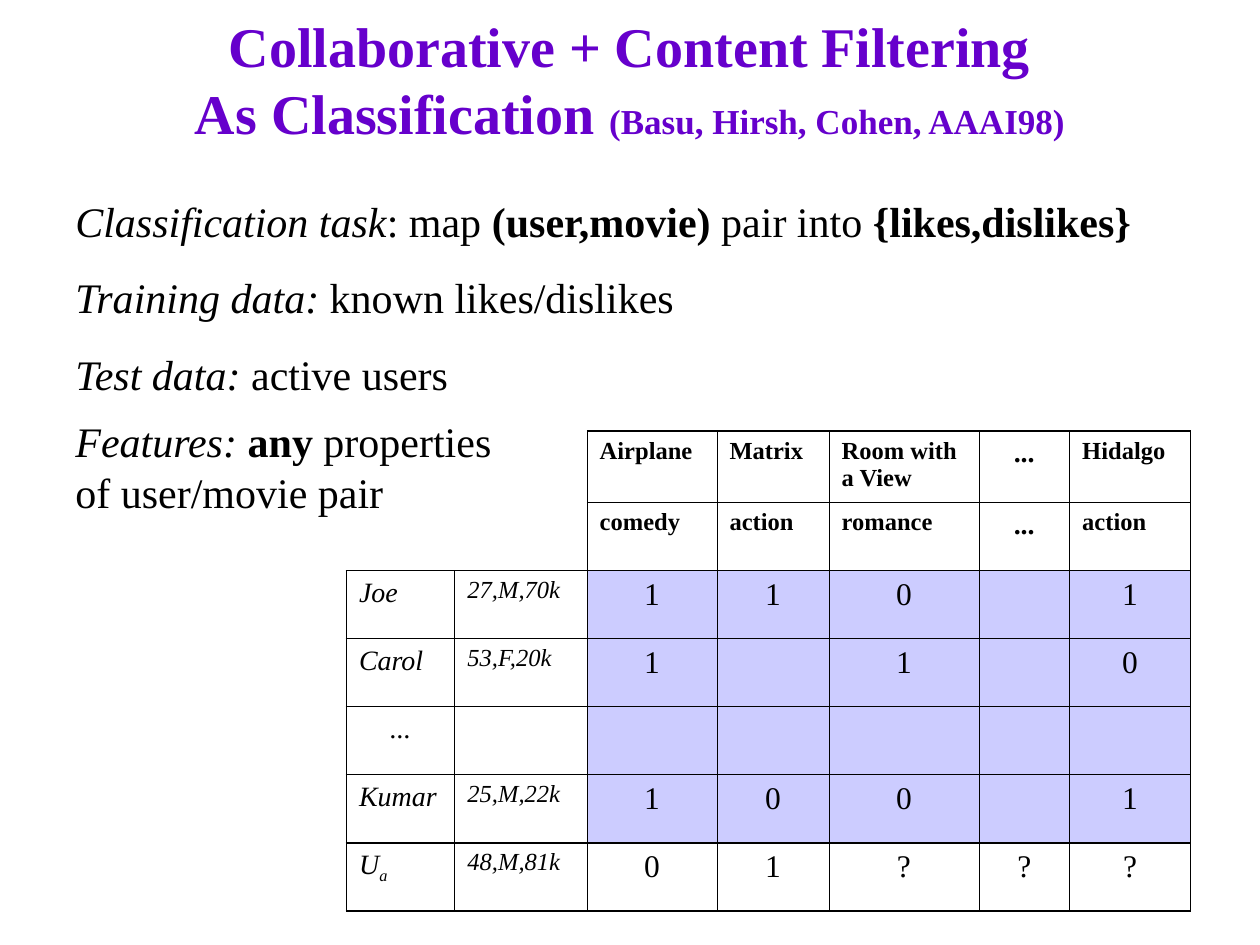
from lxml import etree
from pptx import Presentation
from pptx.dml.color import RGBColor
from pptx.enum.text import MSO_ANCHOR, MSO_AUTO_SIZE, PP_ALIGN
from pptx.oxml.ns import qn
from pptx.util import Inches, Pt

CENTER, LEFT = PP_ALIGN.CENTER, PP_ALIGN.LEFT
MIDDLE = MSO_ANCHOR.MIDDLE
GROW = MSO_AUTO_SIZE.SHAPE_TO_FIT_TEXT

PURPLE = RGBColor(0x66, 0x00, 0xCC)
BLACK = RGBColor(0x00, 0x00, 0x00)
LAVENDER = RGBColor(0xCC, 0xCC, 0xFF)
FONT = "Times New Roman"
LINE_HEIGHT = 1.2

THIN, THICK = Pt(0.45), Pt(1.08)
COLUMN_WIDTHS = [0.86, 1.05, 1.03, 0.89, 1.19, 0.72, 0.96]
ROW_HEIGHTS = [0.57] + [0.54] * 6
HEADER_ROWS = USER_COLUMNS = 2
ACTIVE_USER_ROW = 6
RATINGS = [
    ["", "", "Airplane", "Matrix", "Room with a View", "...", "Hidalgo"],
    ["", "", "comedy", "action", "romance", "...", "action"],
    ["Joe", "27,M,70k", "1", "1", "0", "", "1"],
    ["Carol", "53,F,20k", "1", "", "1", "", "0"],
    ["...", "", "", "", "", "", ""],
    ["Kumar", "25,M,22k", "1", "0", "0", "", "1"],
    ["U", "48,M,81k", "0", "1", "?", "?", "?"],
]

TASK_LINES = [
    [("Classification task", "i"), (": map ", ""), ("(user,movie)", "b"),
     (" pair into ", ""), ("{likes,dislikes}", "b")],
    [("Training data: ", "i"), ("known likes/dislikes", "")],
    [("Test data: ", "i"), ("active users", "")],
]
FEATURE_LINES = [
    [("Features: ", "i"), ("any ", "b"), ("properties of user/movie pair", "")],
]


def add_run(paragraph, text, size, style="", color=BLACK):
    """Add text; style holds "b" for bold and "i" for italic."""
    run = paragraph.add_run()
    run.text = text
    font = run.font
    font.name, font.size = FONT, Pt(size)
    font.bold, font.italic = "b" in style, "i" in style
    font.color.rgb = color
    return run


def add_title(slide):
    title = slide.shapes.title
    title.left, title.top = Inches(0.75), Inches(0)
    title.width, title.height = Inches(8.5), Inches(1.25)
    frame = title.text_frame
    frame.vertical_anchor = MIDDLE
    frame.auto_size = MSO_AUTO_SIZE.NONE
    paragraph = frame.paragraphs[0]
    paragraph.alignment = CENTER
    paragraph.line_spacing = Pt(32 * LINE_HEIGHT)
    add_run(paragraph, "Collaborative + Content Filtering", 32, "b", PURPLE)
    paragraph.add_line_break()
    add_run(paragraph, "As Classification ", 32, "b", PURPLE)
    add_run(paragraph, "(Basu, Hirsh, Cohen, AAAI98)", 20, "b", PURPLE)


def add_statements(slide, left, top, width, height, lines):
    box = slide.shapes.add_textbox(Inches(left), Inches(top), Inches(width), Inches(height))
    frame = box.text_frame
    frame.word_wrap = True
    frame.auto_size = GROW
    for index, runs in enumerate(lines):
        paragraph = frame.add_paragraph() if index else frame.paragraphs[0]
        paragraph.line_spacing = Pt(24 * LINE_HEIGHT)
        if index:
            paragraph.space_before = Pt(15)
        for text, style in runs:
            add_run(paragraph, text, 24, style)


def is_open(row, column):
    """Tell whether a position is outside the ruled part of the table."""
    inside = 0 <= row < len(ROW_HEIGHTS) and 0 <= column < len(COLUMN_WIDTHS)
    return not inside or (row < HEADER_ROWS and column < USER_COLUMNS)


def border_width(row, column, row_step, column_step):
    """Return the width of one cell side, or None where no line is drawn."""
    next_row, next_column = row + row_step, column + column_step
    if is_open(row, column) and is_open(next_row, next_column):
        return None
    at_edge = not (0 <= next_row < len(ROW_HEIGHTS) and 0 <= next_column < len(COLUMN_WIDTHS))
    above_active_user = row_step and max(row, next_row) == ACTIVE_USER_ROW
    return THICK if at_edge or above_active_user else THIN


def draw_borders(cell, row, column):
    properties = cell._tc.get_or_add_tcPr()
    sides = {"a:lnL": (0, -1), "a:lnR": (0, 1), "a:lnT": (-1, 0), "a:lnB": (1, 0)}
    for tag, step in sides.items():
        width = border_width(row, column, *step)
        line = etree.SubElement(properties, qn(tag))
        if width is None:
            etree.SubElement(line, qn("a:noFill"))
        else:
            line.set("w", str(int(width)))
            fill = etree.SubElement(line, qn("a:solidFill"))
            etree.SubElement(fill, qn("a:srgbClr"), val=str(BLACK))


def cell_format(row, column, text):
    """Return size, style and alignment for a cell's role."""
    alignment = CENTER if text == "..." else LEFT
    if row < HEADER_ROWS:
        return (16 if text == "..." else 14), "b", alignment
    if column < USER_COLUMNS:
        return (16 if column == 0 else 14), "i", alignment
    return 18, "", CENTER


def fill_cell(cell, row, column, text):
    draw_borders(cell, row, column)
    if HEADER_ROWS <= row < ACTIVE_USER_ROW and column >= USER_COLUMNS:
        cell.fill.solid()
        cell.fill.fore_color.rgb = LAVENDER
    else:
        cell.fill.background()
    if not text:
        return
    size, style, alignment = cell_format(row, column, text)
    paragraph = cell.text_frame.paragraphs[0]
    paragraph.alignment = alignment
    add_run(paragraph, text, size, style)
    if text == "U":
        subscript = add_run(paragraph, "a", size, style)
        subscript._r.get_or_add_rPr().set("baseline", "-25000")


def add_ratings_table(slide):
    table = slide.shapes.add_table(
        len(ROW_HEIGHTS), len(COLUMN_WIDTHS), Inches(2.75), Inches(3.42),
        Inches(sum(COLUMN_WIDTHS)), Inches(sum(ROW_HEIGHTS))).table
    table.first_row = table.horz_banding = False
    for column, width in zip(table.columns, COLUMN_WIDTHS):
        column.width = Inches(width)
    for row, height in zip(table.rows, ROW_HEIGHTS):
        row.height = Inches(height)
    for row, texts in enumerate(RATINGS):
        for column, text in enumerate(texts):
            fill_cell(table.cell(row, column), row, column, text)


def main():
    presentation = Presentation()
    presentation.slide_width, presentation.slide_height = Inches(10), Inches(7.5)
    slide = presentation.slides.add_slide(presentation.slide_layouts[5])
    add_title(slide)
    add_ratings_table(slide)
    add_statements(slide, 0.5, 1.5, 9, 1.72, TASK_LINES)
    add_statements(slide, 0.5, 3.25, 3.75, 0.9, FEATURE_LINES)
    presentation.save("out.pptx")


if __name__ == "__main__":
    main()
